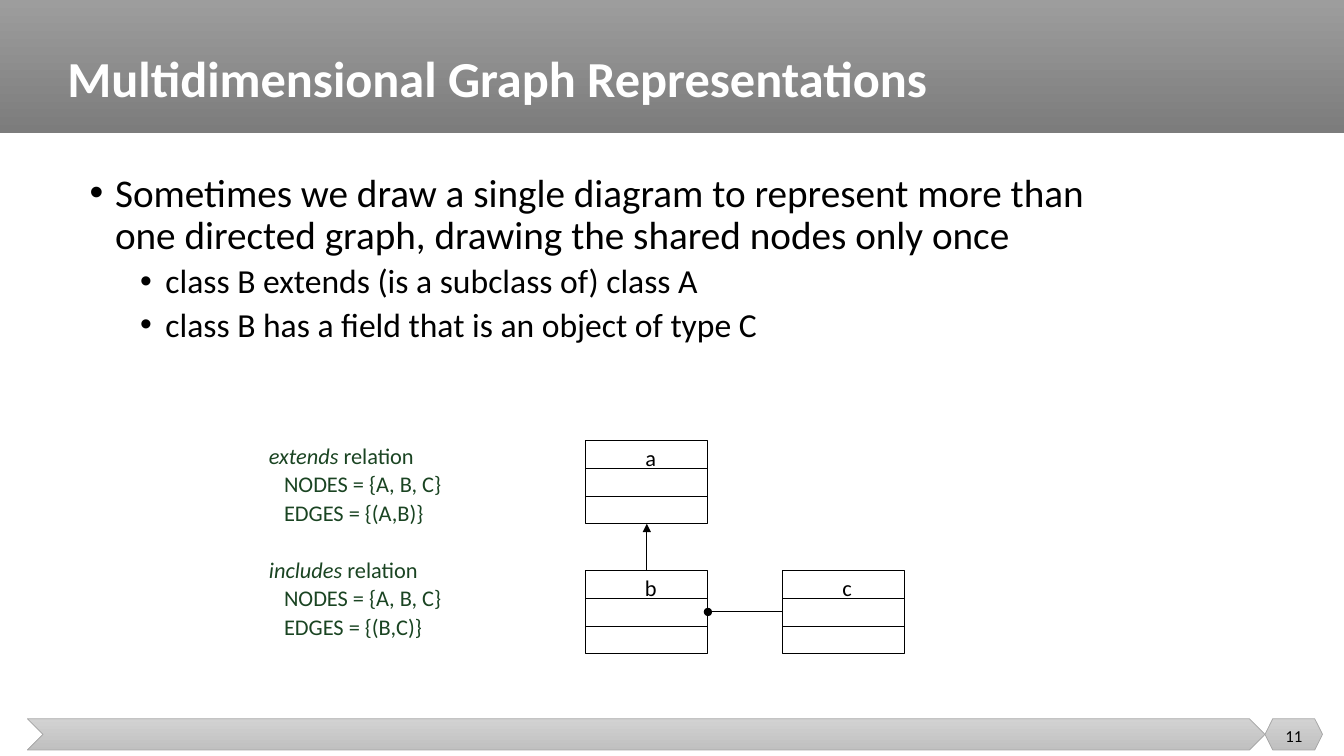
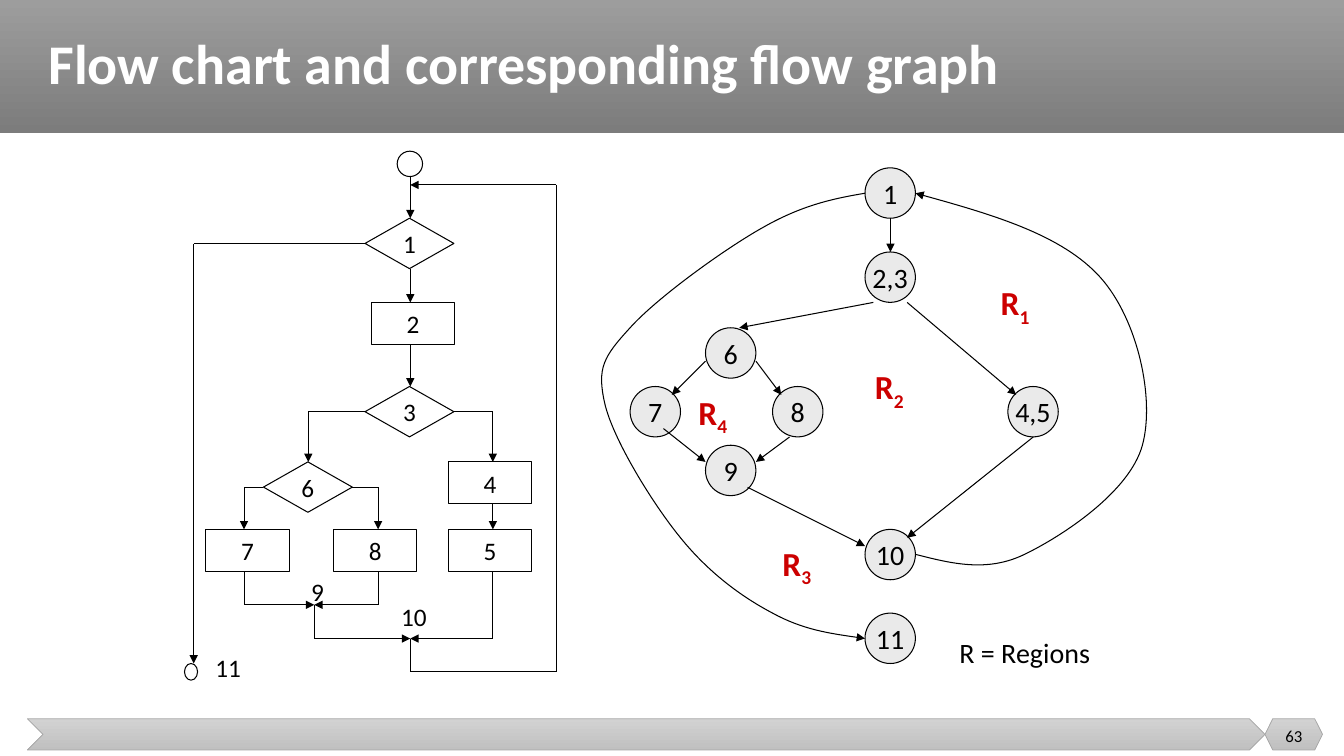
"""Builds two slides on graph representations and flow graphs."""
from dataclasses import dataclass

from lxml import etree
from pptx import Presentation
from pptx import util as u
from pptx.dml.color import RGBColor
from pptx.enum import shapes, text
from pptx.oxml import ns

Cm, Pt = u.Cm, u.Pt
KIND = shapes.MSO_SHAPE
ALIGN = text.PP_ALIGN
ANCHOR = text.MSO_ANCHOR


@dataclass(frozen=True)
class Theme:
    font: str = "Calibri"
    ink: str = "000000"
    paper: str = "FFFFFF"
    node: str = "EAEAEA"
    relation: str = "1A4422"
    region: str = "CC0000"
    band: tuple = ("9D9D9D", "7C7C7C")
    footer: tuple = ("D2D2D2", "C0C0C0")
    footer_edge: str = "A5A5A5"
    body: int = 28
    sub: int = 24
    graph: int = 20
    flow: int = 18
    small: int = 16
    number: int = 12
    thin: float = 0.75
    hairline: float = 0.5


class Deck:
    def __init__(self, theme):
        self.theme = theme
        self.show = Presentation()
        self.show.slide_width, self.show.slide_height = Cm(33.87), Cm(19.05)
        self.slide = None

    def start(self, title, title_box, title_size, number):
        t = self.theme
        self.slide = self.show.slides.add_slide(self.show.slide_layouts[6])
        self.shape(KIND.RECTANGLE, (0, 0, 33.87, 3.35), t.band, None)
        for kind, left, width in ((KIND.CHEVRON, 0.69, 31.19), (KIND.HEXAGON, 31.88, 1.45)):
            self.shape(kind, (left, 18.11, width, 0.79), t.footer, t.footer_edge, t.hairline)
        heading = self.frame(title_box, ANCHOR.MIDDLE)
        self.paragraph(heading, [title], title_size, t.paper, bold=True, spacing=0.9)
        page = self.frame((31.88, 18.03, 1.45, 1.02), ANCHOR.MIDDLE)
        self.paragraph(page, [number], t.number, align=ALIGN.CENTER)

    def shape(self, kind, box, fill=None, edge=Theme.ink, weight=Theme.thin):
        item = self.slide.shapes.add_shape(kind, *map(Cm, box))
        self.paint(item, fill, edge, weight)
        return item

    def paint(self, item, fill, edge, weight):
        item.shadow.inherit = False
        if fill is None:
            item.fill.background()
        elif isinstance(fill, tuple):
            item.fill.gradient()
            item.fill.gradient_angle = 270
            for stop, color in zip(item.fill.gradient_stops, fill):
                stop.color.rgb = RGBColor.from_string(color)
        else:
            item.fill.solid()
            item.fill.fore_color.rgb = RGBColor.from_string(fill)
        if edge is None:
            item.line.fill.background()
        else:
            self.stroke(item.line, edge, weight)

    def stroke(self, line, color, weight, tip=None):
        line.color.rgb = RGBColor.from_string(color)
        line.width = Pt(weight)
        if tip:
            etree.SubElement(line._get_or_add_ln(), ns.qn("a:tailEnd"), type=tip)

    def frame(self, box, anchor=ANCHOR.TOP):
        frame = self.slide.shapes.add_textbox(*map(Cm, box)).text_frame
        frame.word_wrap = True
        frame.vertical_anchor = anchor
        return frame

    def paragraph(self, frame, runs, size, color=Theme.ink, bold=False, align=ALIGN.LEFT,
                  spacing=None, before=None, indent=0, bullet=False):
        first = frame.paragraphs[0]
        para = frame.add_paragraph() if first.runs else first
        props = para._p.get_or_add_pPr()
        if indent:
            props.set("marL", str(Cm(indent)))
        if bullet:
            props.set("indent", str(-Cm(0.64)))
            etree.SubElement(props, ns.qn("a:buFont"), typeface="Arial")
            etree.SubElement(props, ns.qn("a:buChar"), char="•")
        para.alignment = align
        if spacing:
            para.line_spacing = spacing
        if before:
            para.space_before = Pt(before)
        para.font.name = self.theme.font
        para.font.size = Pt(size)
        para.font.bold = bold
        para.font.color.rgb = RGBColor.from_string(color)
        for words in runs:
            para.add_run().text = words
        return para

    def node(self, kind, box, label, size, fill):
        item = self.shape(kind, box, fill)
        item.text_frame.word_wrap = False
        item.text_frame.vertical_anchor = ANCHOR.MIDDLE
        self.paragraph(item.text_frame, [label], size, align=ALIGN.CENTER)
        return item

    def label(self, left, top, words, size, width=1.63):
        self.paragraph(self.frame((left, top, width, 1.02)), [words], size)

    def region(self, left, top, index):
        para = self.paragraph(self.frame((left, top, 2.12, 1.27)), ["R", index],
                              self.theme.sub, self.theme.region, bold=True)
        para.runs[1]._r.get_or_add_rPr().set("baseline", "-25000")

    def route(self, *points, tip="triangle"):
        last = len(points) - 2
        for step, ends in enumerate(zip(points, points[1:])):
            (x1, y1), (x2, y2) = ends
            link = self.slide.shapes.add_connector(
                shapes.MSO_CONNECTOR.STRAIGHT, Cm(x1), Cm(y1), Cm(x2), Cm(y2))
            self.stroke(link.line, self.theme.ink, self.theme.thin, tip if step == last else None)
            etree.SubElement(link._element.spPr, ns.qn("a:effectLst"))

    def curve(self, *points):
        start, *rest = [(Cm(x), Cm(y)) for x, y in points]
        builder = self.slide.shapes.build_freeform(*start)
        builder.add_line_segments(rest, close=False)
        item = builder.convert_to_shape()
        self.paint(item, None, self.theme.ink, self.theme.thin)
        self.stroke(item.line, self.theme.ink, self.theme.thin, "triangle")
        segments = list(item._element.iter(ns.qn("a:lnTo")))
        for i in range(0, len(segments), 3):
            bend = etree.Element(ns.qn("a:cubicBezTo"))
            segments[i].addprevious(bend)
            for segment in segments[i:i + 3]:
                bend.append(segment[0])
                segment.getparent().remove(segment)

    def class_box(self, left, top, name):
        width, height = 3.08, 2.1
        frame = self.node(KIND.RECTANGLE, (left, top, width, height), name,
                          self.theme.small, None).text_frame
        frame.vertical_anchor = ANCHOR.TOP
        frame.margin_top, frame.margin_left, frame.margin_right = Cm(0.08), Cm(0.2), Cm(0)
        for third in (1, 2):
            y = top + height * third / 3
            self.route((left, y), (left + width, y), tip=None)


def representations(deck):
    t = deck.theme
    deck.start("Multidimensional Graph Representations", (1.45, 0.51, 24.56, 3.05), 36, "11")
    body = deck.frame((2.01, 4.24, 26.39, 5.72))
    deck.paragraph(body, ["Sometimes we draw a single diagram to represent more than one "
                          "directed graph, drawing the shared nodes only once"],
                   t.body, spacing=0.9, indent=0.64, bullet=True)
    for point in ("class B extends (is a subclass of) class A",
                  "class B has a field that is an object of type C"):
        deck.paragraph(body, [point], t.sub, spacing=0.9, before=5, indent=1.91, bullet=True)

    relations = deck.frame((6.53, 10.87, 6, 5.38), ANCHOR.BOTTOM)
    for name, edges, gap in (("extends", "(A,B)", None), ("includes", "(B,C)", 23.5)):
        head = deck.paragraph(relations, [name, " relation"], t.small, t.relation,
                              spacing=0.9, before=gap)
        head.runs[0].font.italic = True
        for line in ("NODES = {A, B, C}", f"EDGES = {{{edges}}}"):
            deck.paragraph(relations, [line], t.small, t.relation,
                           spacing=0.9, before=3, indent=0.38)

    for left, top, name in ((14.76, 11.1, "a"), (14.76, 14.38, "b"), (19.71, 14.38, "c")):
        deck.class_box(left, top, name)
    deck.route((16.3, 14.38), (16.3, 13.2))
    deck.route((19.71, 15.42), (17.84, 15.42), tip="oval")


def flow_chart(deck):
    t = deck.theme
    deck.shape(KIND.OVAL, (4.65, 16.72, 0.33, 0.42))
    deck.shape(KIND.OVAL, (10.01, 3.81, 0.64, 0.64), t.paper)
    decisions = (("1", 9.2, 5.5), ("3", 9.2, 9.74), ("6", 6.64, 11.64))
    steps = (("2", 9.36, 7.62), ("4", 11.3, 11.64), ("5", 11.3, 13.34),
             ("7", 5.19, 13.34), ("8", 8.41, 13.34))
    for kind, size, items in ((KIND.DIAMOND, (2.24, 1.27), decisions),
                              (KIND.RECTANGLE, (2.1, 1.06), steps)):
        for name, left, top in items:
            deck.node(kind, (left, top, *size), name, t.flow, t.paper)

    main, loop, leave = 10.34, 14.02, 4.88
    seven, eight, nine, four = 6.15, 9.53, 7.92, 12.42
    for top, bottom in ((4.45, 5.5), (6.77, 7.62), (8.68, 9.74)):
        deck.route((main, top), (main, bottom))
    deck.route((9.2, 10.37), (7.77, 10.37), (7.77, 11.64))
    deck.route((11.44, 10.37), (four, 10.37), (four, 11.64))
    deck.route((four, 12.7), (four, 13.34))
    for side, column in ((6.64, seven), (8.88, eight)):
        deck.route((side, 12.28), (column, 12.28), (column, 13.34))
        deck.route((column, 14.39), (column, 15.24), (nine, 15.24))
    deck.route((nine, 15.24), (nine, 16.09), (main, 16.09))
    deck.route((four, 14.39), (four, 16.09), (main, 16.09))
    deck.route((main, 16.09), (main, 16.93), (loop, 16.93), (loop, 4.66), (main, 4.66))
    deck.route((9.2, 6.14), (leave, 6.14), (leave, 16.72))
    for left, top, name in ((7.59, 14.4, "9"), (9.86, 15.04, "10"), (5.18, 16.31, "11")):
        deck.label(left, top, name, t.flow)


def flow_graph(deck):
    t = deck.theme
    deck.curve((21.8, 4.87), (21.03, 5), (20.24, 5.16), (19.25, 5.72),
               (18.26, 6.27), (16.54, 7.52), (15.88, 8.26),
               (15.21, 8.99), (15.04, 9.27), (15.24, 10.16),
               (15.44, 11.05), (16.43, 12.67), (17.15, 13.55),
               (17.86, 14.43), (18.69, 15.04), (19.47, 15.45),
               (20.24, 15.87), (21.03, 15.98), (21.8, 16.09))
    deck.curve((23.07, 13.97), (23.98, 14.2), (24.87, 14.43), (25.82, 13.97),
               (26.77, 13.51), (28.47, 12.4), (28.79, 11.22),
               (29.11, 10.06), (28.68, 8.05), (27.73, 6.99),
               (26.77, 5.92), (24.92, 5.38), (23.07, 4.87))
    for name, left, top in (("1", 21.8, 4.23), ("2,3", 21.8, 6.35), ("10", 21.8, 13.34),
                            ("11", 21.8, 15.45), ("6", 17.78, 8.26), ("9", 17.78, 11.22),
                            ("8", 19.47, 9.74), ("4,5", 25.4, 9.74), ("7", 15.88, 9.74)):
        deck.node(KIND.OVAL, (left, top, 1.27, 1.27), name, t.graph, t.node)
    for edge in (((22.44, 5.5), (22.44, 6.35)), ((22.86, 7.62), (25.61, 9.95)),
                 ((22.01, 7.62), (18.63, 8.26)), ((17.78, 9.1), (16.93, 9.95)),
                 ((19.05, 9.1), (19.69, 9.95)), ((16.72, 10.8), (17.78, 11.64)),
                 ((19.9, 11.01), (19.05, 11.64)), ((18.84, 12.28), (21.8, 13.76)),
                 ((26.04, 11.01), (22.86, 13.55))):
        deck.route(*edge)
    for left, top, index in ((24.97, 6.99, "1"), (21.8, 9.1, "2"),
                             (19.47, 13.55, "3"), (17.35, 9.74, "4")):
        deck.region(left, top, index)
    deck.label(23.93, 15.88, "R = Regions", t.graph, 4.5)


def main():
    deck = Deck(Theme())
    representations(deck)
    deck.start("Flow chart and corresponding flow graph", (0.97, 0, 32.36, 3.35), 40, "63")
    flow_chart(deck)
    flow_graph(deck)
    deck.show.save("out.pptx")


if __name__ == "__main__":
    main()
